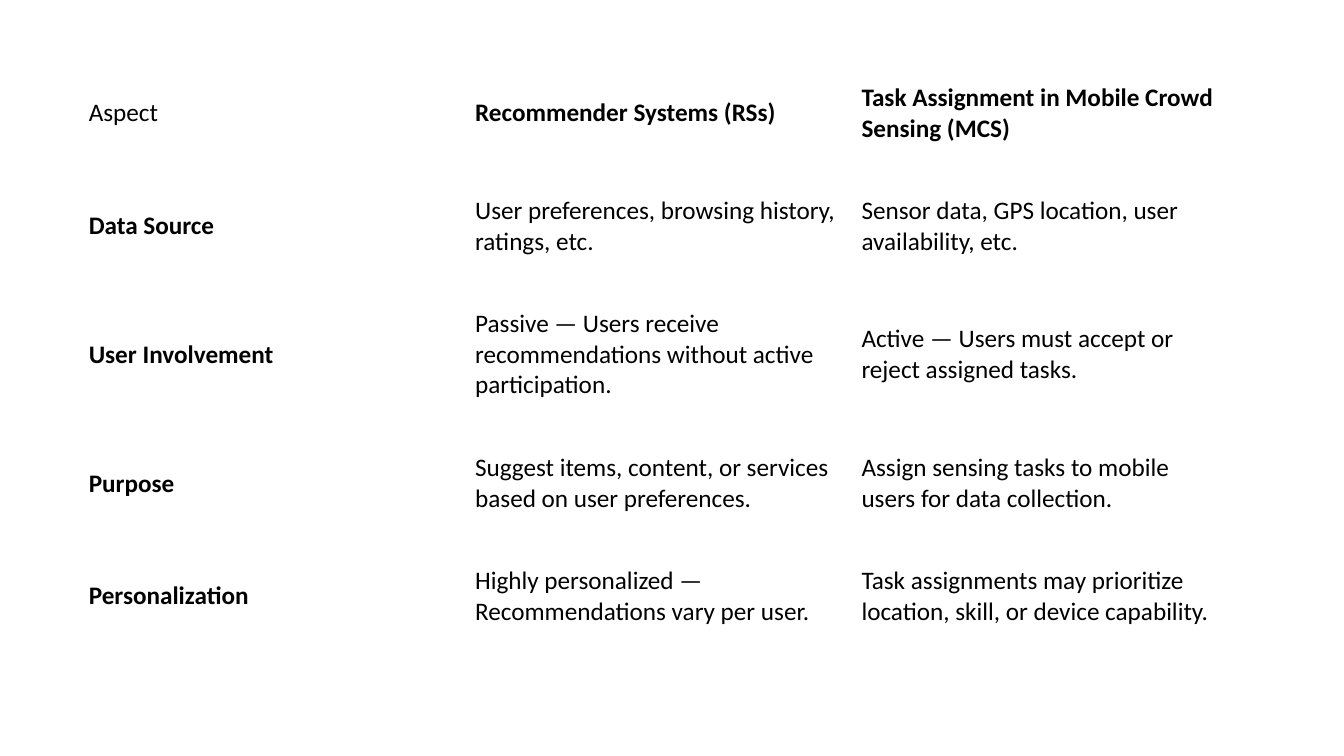
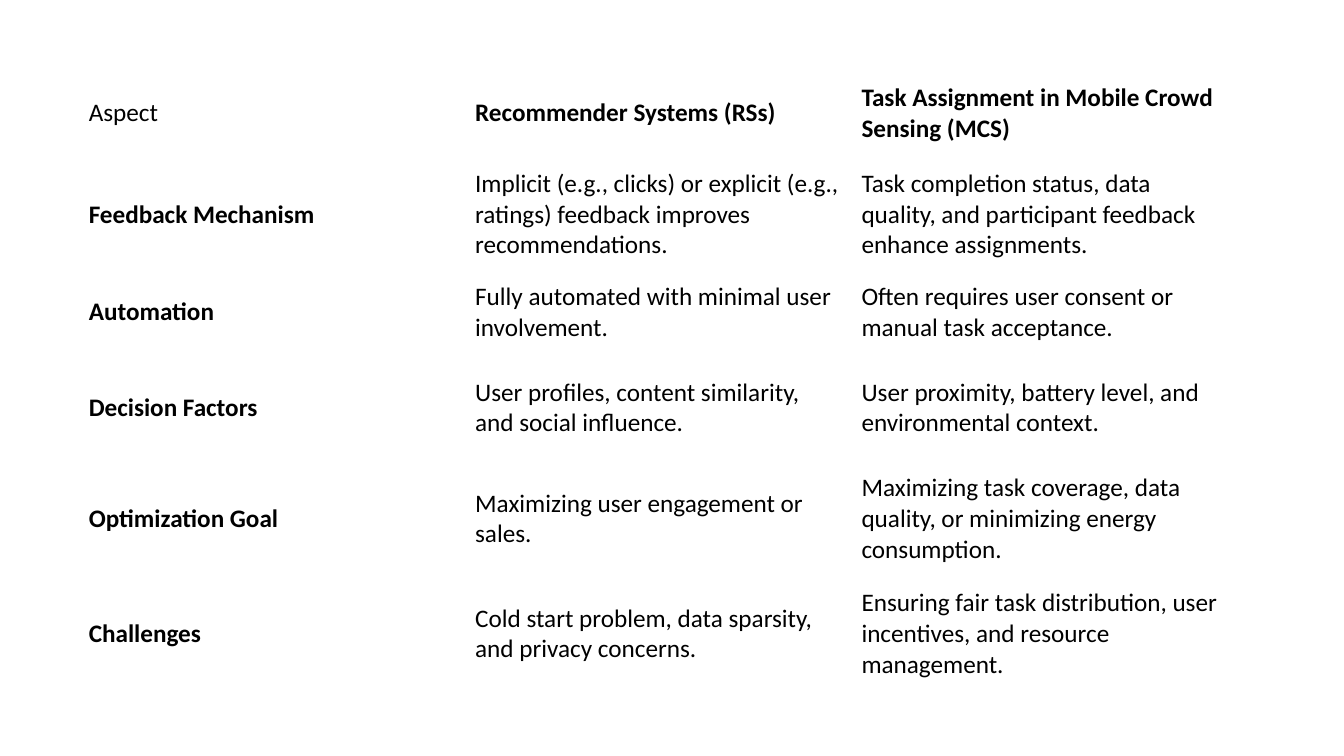
from dataclasses import dataclass

from pptx import Presentation
from pptx.dml.color import RGBColor
from pptx.enum.text import MSO_ANCHOR
from pptx.slide import Slide
from pptx.util import Pt

BLACK = RGBColor(0x00, 0x00, 0x00)
FONT = "Calibri"
FONT_SIZE = Pt(18)
LEFT = Pt(56.2)
COLUMN_WIDTH = Pt(276)
TWO_LINES = 50.4
THREE_LINES = 72


@dataclass(frozen=True)
class Row:
    top: float
    height: float
    texts: tuple[str, str, str]
    bold_columns: tuple[int, ...] = (0,)


HEADER = Row(
    55.4, TWO_LINES,
    ("Aspect", "Recommender Systems (RSs)",
     "Task Assignment in Mobile Crowd Sensing (MCS)"),
    bold_columns=(1, 2),
)

BASICS = [
    Row(136.1, TWO_LINES,
        ("Data Source",
         "User preferences, browsing history, ratings, etc.",
         "Sensor data, GPS location, user availability, etc.")),
    Row(216.7, THREE_LINES,
        ("User Involvement",
         "Passive — Users receive recommendations without active participation.",
         "Active — Users must accept or reject assigned tasks.")),
    Row(319.7, TWO_LINES,
        ("Purpose",
         "Suggest items, content, or services based on user preferences.",
         "Assign sensing tasks to mobile users for data collection.")),
    Row(400.3, TWO_LINES,
        ("Personalization",
         "Highly personalized — Recommendations vary per user.",
         "Task assignments may prioritize location, skill, or device capability.")),
]

OPERATION = [
    Row(116.6, THREE_LINES,
        ("Feedback Mechanism",
         "Implicit (e.g., clicks) or explicit (e.g., ratings) feedback improves recommendations.",
         "Task completion status, data quality, and participant feedback enhance assignments.")),
    Row(197.3, TWO_LINES,
        ("Automation",
         "Fully automated with minimal user involvement.",
         "Often requires user consent or manual task acceptance.")),
    Row(265.7, TWO_LINES,
        ("Decision Factors",
         "User profiles, content similarity, and social influence.",
         "User proximity, battery level, and environmental context.")),
    Row(334.1, THREE_LINES,
        ("Optimization Goal",
         "Maximizing user engagement or sales.",
         "Maximizing task coverage, data quality, or minimizing energy consumption.")),
    Row(416.2, THREE_LINES,
        ("Challenges",
         "Cold start problem, data sparsity, and privacy concerns.",
         "Ensuring fair task distribution, user incentives, and resource management.")),
]


def add_row(s: Slide, row: Row) -> None:
    columns = len(row.texts)
    table = s.shapes.add_table(
        1, columns, LEFT, Pt(row.top), COLUMN_WIDTH * columns, Pt(row.height)
    ).table
    table.first_row = False
    table.horz_banding = False
    for i, text in enumerate(row.texts):
        table.columns[i].width = COLUMN_WIDTH
        cell = table.cell(0, i)
        cell.fill.background()
        cell.vertical_anchor = MSO_ANCHOR.MIDDLE
        p = cell.text_frame.paragraphs[0]
        p.text = text
        font = p.runs[0].font
        font.name = FONT
        font.size = FONT_SIZE
        font.color.rgb = BLACK
        font.bold = i in row.bold_columns


def main() -> None:
    prs = Presentation()
    prs.slide_width = Pt(960)
    prs.slide_height = Pt(540)
    for rows in (BASICS, OPERATION):
        s = prs.slides.add_slide(prs.slide_layouts[6])
        for row in (HEADER, *rows):
            add_row(s, row)
    prs.save("out.pptx")


if __name__ == "__main__":
    main()
